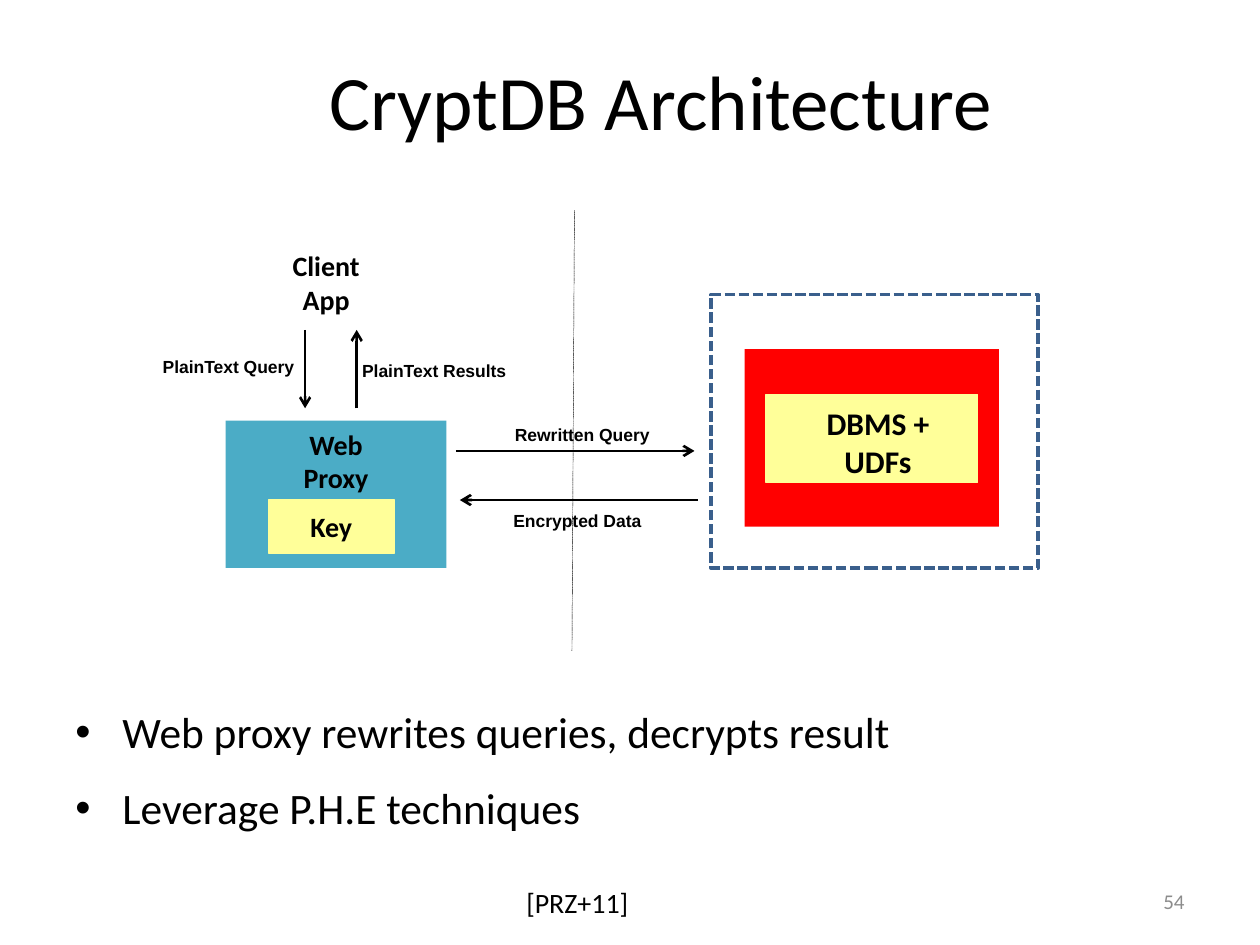
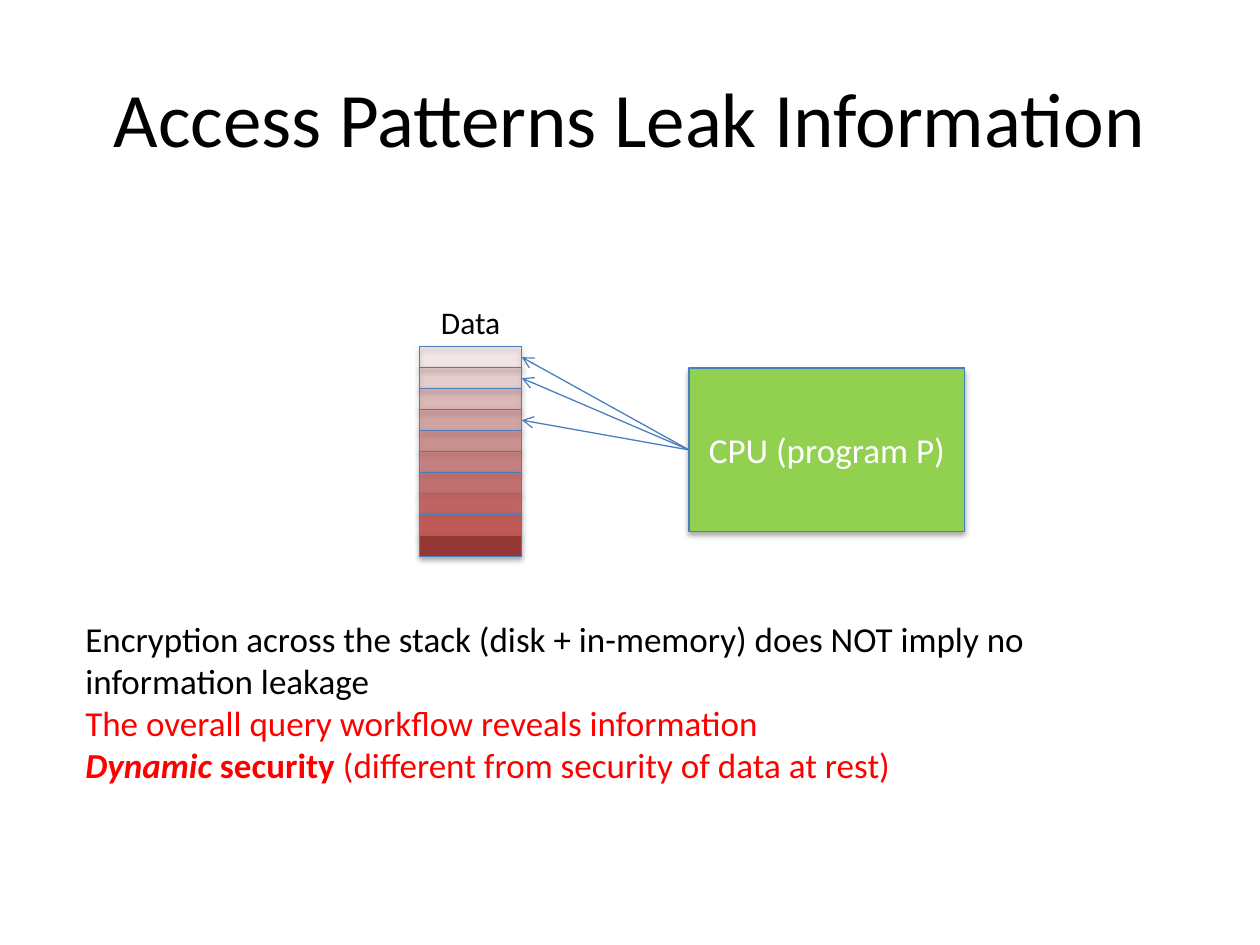
from dataclasses import dataclass

from lxml import etree
from pptx import Presentation
from pptx.dml.color import RGBColor
from pptx.enum.dml import MSO_LINE
from pptx.enum.shapes import MSO_CONNECTOR, MSO_SHAPE
from pptx.enum.text import MSO_ANCHOR, PP_ALIGN
from pptx.oxml import parse_xml
from pptx.oxml.ns import nsdecls, qn
from pptx.util import Cm, Pt

RECT, STRAIGHT, SYS_DASH = MSO_SHAPE.RECTANGLE, MSO_CONNECTOR.STRAIGHT, MSO_LINE.SQUARE_DOT
TOP, MIDDLE = MSO_ANCHOR.TOP, MSO_ANCHOR.MIDDLE
LEFT, CENTER, RIGHT = PP_ALIGN.LEFT, PP_ALIGN.CENTER, PP_ALIGN.RIGHT


@dataclass(frozen=True)
class Theme:
    font: str = "Calibri"
    label_font: str = "Arial"
    black: str = "000000"
    white: str = "FFFFFF"
    gray: str = "8C8C8C"
    red: str = "FF0000"
    teal: str = "4BACC6"
    yellow: str = "FFFF99"
    green: str = "92D050"
    brick: str = "C0504D"
    dark_brick: str = "953735"
    blue: str = "4B7EBC"
    navy: str = "3A5F8C"
    title: float = 44
    bullet: float = 24.8
    body: float = 20
    node: float = 18
    small_node: float = 16
    number: float = 12
    label: float = 10


T = Theme()
SHADOW = (f'<a:outerShdw {nsdecls("a")} blurRad="40000" dist="23000" dir="5400000" '
          'rotWithShape="0"><a:srgbClr val="000000"><a:alpha val="35000"/></a:srgbClr></a:outerShdw>')


def box(s, x, y, w, h, lines=(), size=T.node, fill=None, line=None, width=0.75, color=T.black,
        bold=False, font=T.font, align=LEFT, anchor=TOP, inset=(0.25, 0.13, 0.25, 0.13),
        wrap=True, shadow=False):
    place = Cm(x), Cm(y), Cm(w), Cm(h)
    if fill or line:
        sp = s.shapes.add_shape(RECT, *place)
        sp.shadow.inherit = False
        if fill:
            sp.fill.solid()
            sp.fill.fore_color.rgb = RGBColor.from_string(fill)
        else:
            sp.fill.background()
        if line:
            sp.line.color.rgb = RGBColor.from_string(line)
            sp.line.width = Pt(width)
        else:
            sp.line.fill.background()
        if shadow:
            sp._element.spPr.find(qn("a:effectLst")).append(parse_xml(SHADOW))
    else:
        sp = s.shapes.add_textbox(*place)
    tf = sp.text_frame
    tf.word_wrap = wrap
    tf.vertical_anchor = anchor
    tf.margin_left, tf.margin_top, tf.margin_right, tf.margin_bottom = map(Cm, inset)
    for i, runs in enumerate(lines):
        p = tf.add_paragraph() if i else tf.paragraphs[0]
        p.alignment = align
        for text, *style in [(runs,)] if isinstance(runs, str) else runs:
            run_color, run_bold, run_italic = style or (color, bold, False)
            r = p.add_run()
            r.text = text
            r.font.name, r.font.size = font, Pt(size)
            r.font.bold, r.font.italic = run_bold, run_italic
            r.font.color.rgb = RGBColor.from_string(run_color)
    return sp


def connect(s, x1, y1, x2, y2, color=T.black, width=1.5, arrow=True):
    c = s.shapes.add_connector(STRAIGHT, Cm(x1), Cm(y1), Cm(x2), Cm(y2))
    c.line.color.rgb = RGBColor.from_string(color)
    c.line.width = Pt(width)
    spPr = c._element.spPr
    if arrow:
        etree.SubElement(spPr.find(qn("a:ln")), qn("a:tailEnd"), type="arrow")
    etree.SubElement(spPr, qn("a:effectLst"))
    return c


prs = Presentation()
prs.slide_width, prs.slide_height = Cm(25.4), Cm(19.05)

slides = []
for text, x, y, w, h in [
    ("CryptDB Architecture", 1.9, 0.64, 22.86, 2.74),
    ("Access Patterns Leak Information", 1.27, 0.76, 22.86, 3.18),
]:
    s = prs.slides.add_slide(prs.slide_layouts[5])
    sp = s.shapes.title
    sp.left, sp.top, sp.width, sp.height = Cm(x), Cm(y), Cm(w), Cm(h)
    tf = sp.text_frame
    tf.vertical_anchor = MIDDLE
    p = tf.paragraphs[0]
    p.alignment = CENTER
    r = p.add_run()
    r.text = text
    r.font.name, r.font.size = T.font, Pt(T.title)
    r.font.color.rgb = RGBColor.from_string(T.black)
    slides.append(s)
architecture, leakage = slides

s = architecture
bullets = box(s, 1.27, 13.77, 22.86, 3.38,
              ["Web proxy rewrites queries, decrypts result", "Leverage P.H.E techniques"], T.bullet)
for i, p in enumerate(bullets.text_frame.paragraphs):
    pPr = p._p.get_or_add_pPr()
    pPr.set("marL", str(Cm(0.95)))
    pPr.set("indent", str(-Cm(0.95)))
    etree.SubElement(pPr, qn("a:buFont"), typeface=T.label_font)
    etree.SubElement(pPr, qn("a:buChar"), char="•")
    p.line_spacing = 1.3
    p.space_before = Pt(5 if i else 0)

boundary = connect(s, 11.58, 4.24, 11.53, 13.13, width=0.25, arrow=False)
boundary.line.dash_style = SYS_DASH

node = dict(size=T.small_node, bold=True, align=CENTER, wrap=False)
box(s, 4.55, 8.48, 4.45, 2.97, ["Web", "Proxy"], fill=T.teal, **node)
box(s, 5.28, 4.88, 2.59, 1.78, ["Client", "App"], fill=T.white, **node)
box(s, 5.41, 10.08, 2.54, 1.07, ["Key"], fill=T.yellow, line=T.yellow, anchor=MIDDLE, **node)

server = box(s, 14.33, 5.94, 6.6, 5.51, line=T.navy, width=2)
server.line.dash_style = SYS_DASH
box(s, 15.01, 7.04, 5.13, 3.58, fill=T.red)
box(s, 15.44, 7.95, 4.27, 1.78, ["DBMS +", "UDFs"], T.node, T.yellow, T.yellow, bold=True,
    align=CENTER, anchor=MIDDLE, inset=(0.25, 0.13, 0, 0), wrap=False)

for text, label_x, label_y, x1, y1, x2, y2 in [
    ("PlainText Query", 3.28, 7.04, 6.15, 6.65, 6.15, 8.23),
    ("PlainText Results", 7.3, 7.13, 7.19, 8.23, 7.19, 6.65),
    ("Rewritten Query", 10.38, 8.42, 9.19, 9.09, 14, 9.09),
    ("Encrypted Data", 10.35, 10.16, 14.07, 10.08, 9.27, 10.08),
]:
    connect(s, x1, y1, x2, y2)
    box(s, label_x, label_y, 4, 0.68, [text], T.label, bold=True, font=T.label_font,
        anchor=MIDDLE, inset=(0, 0, 0, 0))

box(s, 10.36, 17.73, 2.59, 0.94, ["[PRZ+11]"], T.small_node, wrap=False)
box(s, 18.21, 17.65, 5.92, 1.02, ["54"], T.number, color=T.gray, align=RIGHT, anchor=MIDDLE)

s = leakage
cpu_x, cpu_y, cpu_h = 13.89, 7.42, 3.3
box(s, cpu_x, cpu_y, 5.56, cpu_h, ["CPU (program P)"], T.body, T.green, T.blue, color=T.white,
    align=CENTER, anchor=MIDDLE, shadow=True)

data_x, data_y, data_w, cells = 8.46, 6.99, 2.06, 10
cell_h = 4.23 / cells
for i in range(cells):
    last = i == cells - 1
    cell = box(s, data_x, data_y + i * cell_h, data_w, cell_h,
               fill=T.dark_brick if last else T.brick, line=T.blue, shadow=True)
    if not last:
        tint = cell._element.spPr.find(qn("a:solidFill"))[0]
        etree.SubElement(tint, qn("a:alpha"), val=str((i + 1) * 10000))

for i in (0, 1, 3):
    connect(s, cpu_x, cpu_y + cpu_h / 2, data_x + data_w, data_y + (i + 0.5) * cell_h,
            T.blue, 0.75)

box(s, 8.64, 5.97, 1.73, 1.02, ["Data"], T.node, wrap=False)
box(s, 1.47, 12.32, 22.02, 3.68, [
    "Encryption across the stack (disk + in-memory) does NOT imply no information leakage",
    [("The overall query workflow reveals information", T.red, False, False)],
    [("Dynamic", T.red, True, True), (" security ", T.red, True, False),
     ("(different from security of data at rest)", T.red, False, False)],
], T.body)

prs.save("out.pptx")
